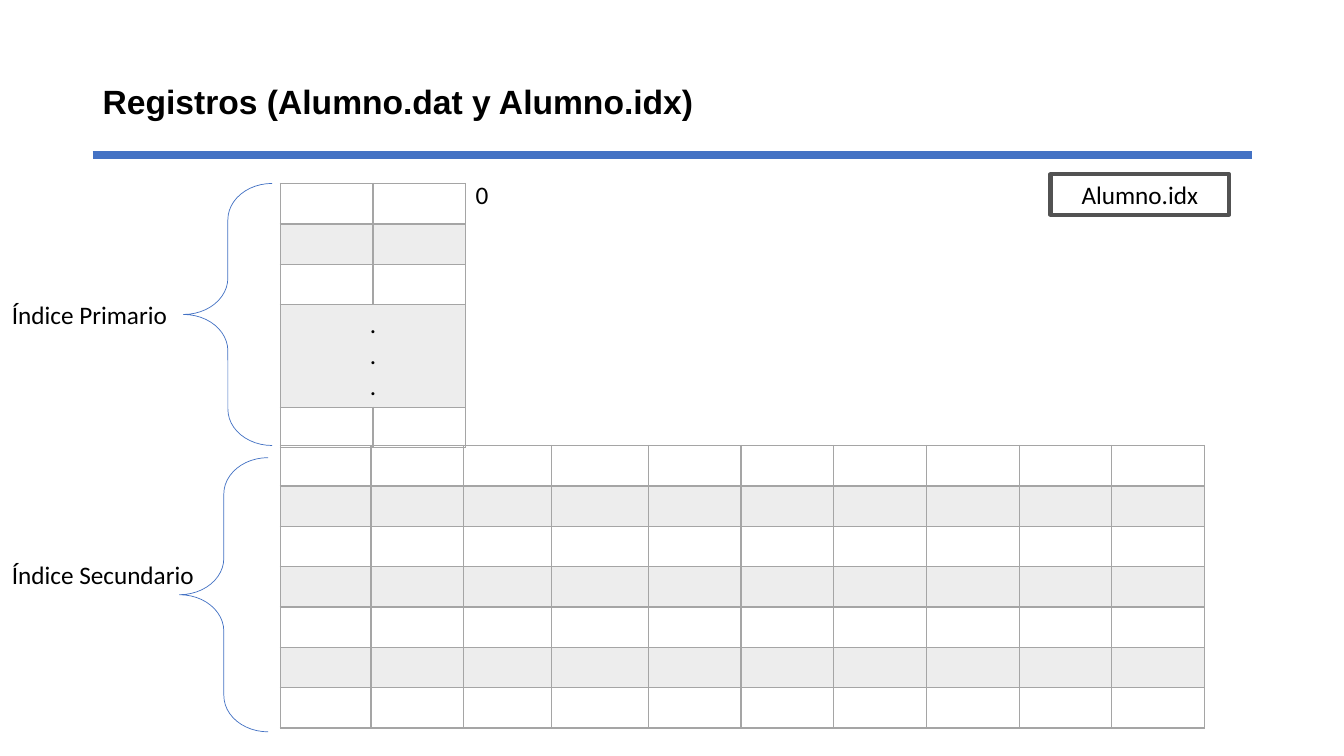
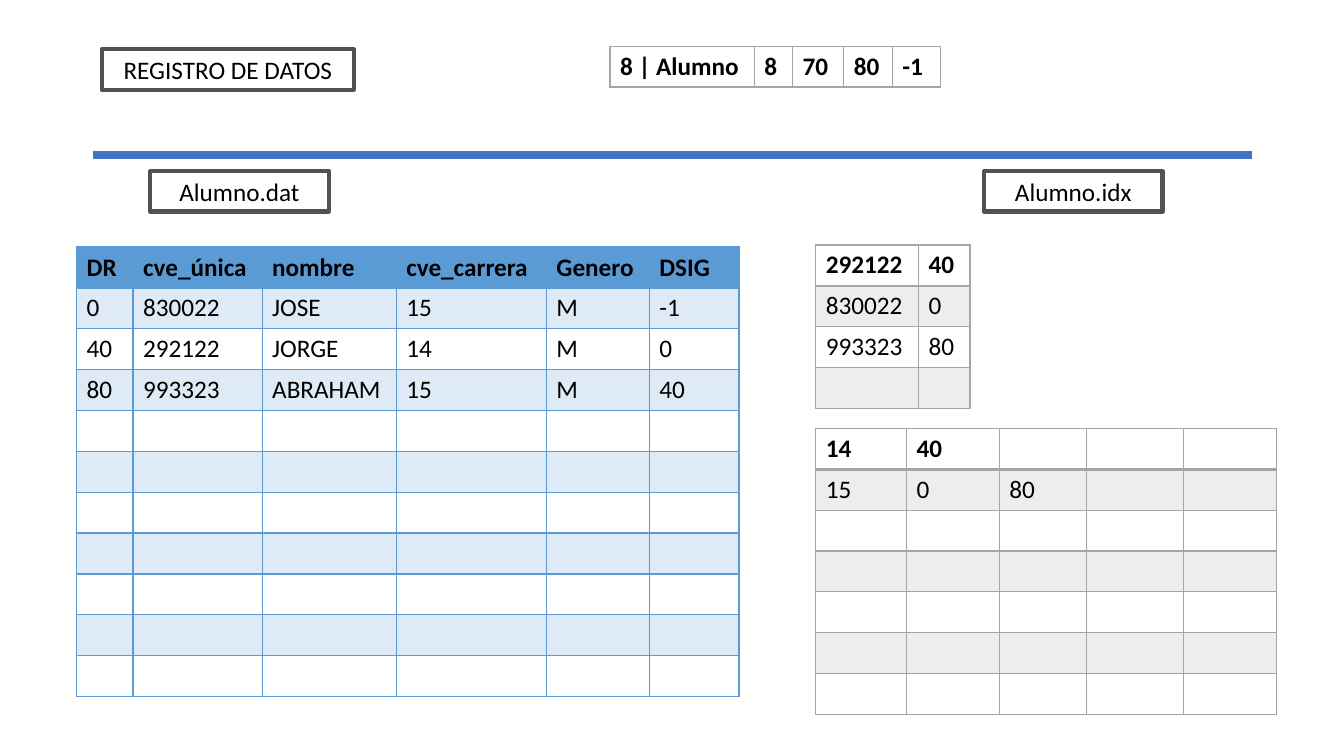
from pptx import Presentation
from pptx.dml.color import RGBColor
from pptx.enum.shapes import MSO_CONNECTOR, MSO_SHAPE
from pptx.enum.text import MSO_ANCHOR, PP_ALIGN
from pptx.oxml.ns import qn
from pptx.util import Inches, Pt
from lxml.etree import SubElement

BLUE, DARK, BLACK = "4472C4", "525252", "000000"
GRAY, SKY = "A5A5A5", "5B9BD5"
TINT = {GRAY: "EDEDED", SKY: "DEEBF7"}
ROW = 0.4
WIDE = [0.9, 0.92, 0.87, 0.96, 0.92]


def color(code):
    return RGBColor.from_string(code)


def write(frame, text, size=18, bold=False, font="Calibri", align=PP_ALIGN.LEFT):
    par = frame.paragraphs[0]
    par.text = text
    par.alignment = align
    for run in par.runs:
        run.font.size = Pt(size)
        run.font.bold = bold
        run.font.name = font
        run.font.color.rgb = color(BLACK)
    return par


def label(slide, text, left, top, width, height=0.4, wrap=True, **form):
    box = slide.shapes.add_textbox(*map(Inches, (left, top, width, height)))
    frame = box.text_frame
    frame.word_wrap = wrap
    frame.vertical_anchor = MSO_ANCHOR.MIDDLE
    return write(frame, text, **form)


def outline(slide, kind, box, code, weight):
    """Add an unfilled preset shape with a coloured line."""
    shape = slide.shapes.add_shape(kind, *map(Inches, box))
    shape.shadow.inherit = False
    shape.fill.background()
    shape.line.color.rgb = color(code)
    shape.line.width = Pt(weight)
    return shape


def tag(slide, text, left, top, width=1.77):
    shape = outline(slide, MSO_SHAPE.RECTANGLE, (left, top, width, 0.4), DARK, 3)
    write(shape.text_frame, text, align=PP_ALIGN.CENTER)


def brace(slide, left, top, height):
    shape = outline(slide, MSO_SHAPE.LEFT_BRACE, (left, top, 0.88, height), BLUE, 0.5)
    shape.adjustments[0] = 0.41


def border(cell, code, top, bottom):
    """Draw the four sides of a cell; top and bottom are weights in points."""
    props = cell._tc.get_or_add_tcPr()
    for side, weight in (("L", 1), ("R", 1), ("T", top), ("B", bottom)):
        line = SubElement(props, qn(f"a:ln{side}"), w=str(Pt(weight)))
        fill = SubElement(line, qn("a:solidFill"))
        SubElement(fill, qn("a:srgbClr"), val=code)


def grid(slide, left, top, cols, rows, data=(), code=GRAY, head=None):
    """Add a banded table: cols and rows are sizes, data fills it from the top."""
    frame = slide.shapes.add_table(
        len(rows), len(cols), *map(Inches, (left, top, sum(cols), sum(rows))))
    table = frame.table
    table.first_row = table.horz_banding = False
    for col, width in zip(table.columns, cols):
        col.width = Inches(width)
    for i, height in enumerate(rows):
        table.rows[i].height = Inches(height)
        shade = TINT[code] if i % 2 else None if i else head
        for j, cell in enumerate(table.rows[i].cells):
            border(cell, code, 2 if i == 1 else 1, 1 if i else 2)
            if shade:
                cell.fill.solid()
                cell.fill.fore_color.rgb = color(shade)
            else:
                cell.fill.background()
            if i < len(data) and j < len(data[i]):
                write(cell.text_frame, data[i][j], bold=i == 0)
    return table


def base(deck):
    """Add a blank slide with the shared rule."""
    slide = deck.slides.add_slide(deck.slide_layouts[6])
    rule = slide.shapes.add_connector(
        MSO_CONNECTOR.STRAIGHT, *map(Inches, (0.92, 1.54, 12.42, 1.54)))
    rule.line.color.rgb = color(BLUE)
    rule.line.width = Pt(6)
    SubElement(rule._element.spPr, qn("a:effectLst"))
    return slide


def layout(deck):
    """Show the empty structure of the index file."""
    slide = base(deck)
    title = label(slide, "Registros (Alumno.dat y Alumno.idx)", 0.92, 0.7, 11.5, 0.65,
                  size=24, bold=True, font="Arial", align=PP_ALIGN.JUSTIFY)
    title.line_spacing = 0.9
    first = grid(slide, 2.78, 1.82, [0.92] * 2, [ROW, ROW, ROW, 1.02, ROW])
    gap = first.cell(3, 0)
    gap.merge(first.cell(3, 1))
    write(gap.text_frame, ".\n.\n.", align=PP_ALIGN.CENTER)
    grid(slide, 2.78, 4.42, WIDE + [0.92] * 5, [ROW] * 7)
    brace(slide, 1.82, 1.82, 2.6)
    label(slide, "Índice Primario", 0.02, 2.92, 1.76, wrap=False)
    brace(slide, 1.78, 4.54, 2.72)
    label(slide, "Índice Secundario", 0.02, 5.5, 2.03, wrap=False)
    label(slide, "0", 4.62, 1.73, 0.62)
    tag(slide, "Alumno.idx", 10.42, 1.73)


def sample(deck):
    """Show the data file beside its indexes."""
    slide = base(deck)
    tag(slide, "REGISTRO DE DATOS", 1.01, 0.49, 2.5)
    tag(slide, "Alumno.dat", 1.49, 1.7)
    tag(slide, "Alumno.idx", 9.76, 1.7)
    grid(slide, 6.05, 0.46, [1.43, 0.38, 0.51, 0.48, 0.48], [ROW],
         [["8 | Alumno", "8", "70", "80", "-1"]])
    grid(slide, 0.76, 2.45, [0.56, 1.28, 1.33, 1.49, 1.02, 0.89], [ROW] * 11, [
        ["DR", "cve_única", "nombre", "cve_carrera", "Genero", "DSIG"],
        ["0", "830022", "JOSE", "15", "M", "-1"],
        ["40", "292122", "JORGE", "14", "M", "0"],
        ["80", "993323", "ABRAHAM", "15", "M", "40"],
    ], code=SKY, head=SKY)
    grid(slide, 8.09, 2.43, [1.02, 0.51], [ROW] * 4,
         [["292122", "40"], ["830022", "0"], ["993323", "80"]])
    grid(slide, 8.09, 4.25, WIDE, [ROW] * 7, [["14", "40"], ["15", "0", "80"]])


def main():
    deck = Presentation()
    deck.slide_width, deck.slide_height = Inches(13.33), Inches(7.5)
    layout(deck)
    sample(deck)
    deck.save("out.pptx")


if __name__ == "__main__":
    main()
